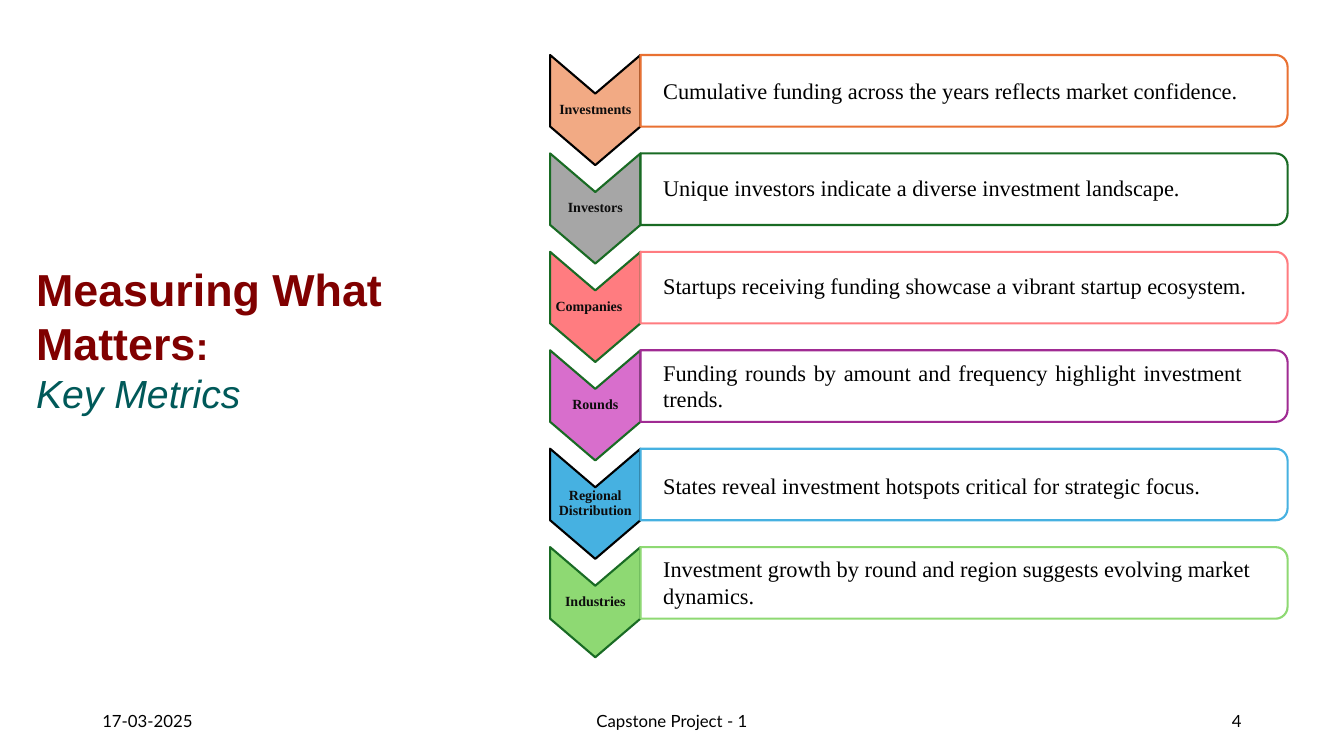
import pptx
import pptx.dml.color
import pptx.enum.shapes
import pptx.enum.text
import pptx.util
from lxml import etree

Pt = pptx.util.Pt
RGBColor = pptx.dml.color.RGBColor
Align = pptx.enum.text.PP_ALIGN
Anchor = pptx.enum.text.MSO_ANCHOR

BLACK = RGBColor(0x00, 0x00, 0x00)
WHITE = RGBColor(0xFF, 0xFF, 0xFF)
INK = RGBColor(0x0D, 0x0D, 0x0D)
MAROON = RGBColor(0x80, 0x00, 0x00)
TEAL = RGBColor(0x00, 0x59, 0x59)
ORANGE = RGBColor(0xE9, 0x71, 0x32)
PEACH = RGBColor(0xF2, 0xAA, 0x84)
GREY = RGBColor(0xA6, 0xA6, 0xA6)
GREEN = RGBColor(0x19, 0x6B, 0x24)
CORAL = RGBColor(0xFF, 0x7C, 0x80)
PURPLE = RGBColor(0xA0, 0x2B, 0x93)
ORCHID = RGBColor(0xD8, 0x6E, 0xCC)
BLUE = RGBColor(0x46, 0xB1, 0xE1)
LIME = RGBColor(0x8E, 0xD9, 0x73)

SERIF = "Times New Roman"
ROW_TOP, ROW_PITCH = 39.3, 70.3
CHEVRON_LEFT, CHEVRON_WIDTH = 392.9, 64.6
CARD_HEIGHT, CARD_WIDTH = 51.1, 462.2
NOTCH = 27.6
CAPTION_LEFT = 466.6

# label, chevron fill, chevron line, card line, caption, caption box (top, width, height), caption format
METRICS = [
    ("Investments", PEACH, BLACK, ORANGE,
     "Cumulative funding across the years reflects market confidence.", (51.8, 462.2, 26.6), {}),
    ("Investors", GREY, GREEN, GREEN,
     "Unique investors indicate a diverse investment landscape.", (121, 480.2, 28.8), {}),
    ("Companies", CORAL, GREEN, CORAL,
     "Startups receiving funding showcase a vibrant startup ecosystem.", (190.8, 453.6, 26.6), {}),
    ("Rounds", ORCHID, GREEN, PURPLE,
     "Funding rounds by amount and frequency highlight investment trends.",
     (252.7, 427.7, 46.1), {"align": Align.JUSTIFY}),
    ("Regional Distribution", BLUE, BLACK, BLUE,
     "States reveal investment hotspots critical for strategic focus.",
     (324, 419.8, 33.1), {"align": Align.JUSTIFY, "line_spacing": 1.5}),
    ("Industries", LIME, GREEN, LIME,
     "Investment growth by round and region suggests evolving market dynamics.",
     (393.1, 439.2, 46.1), {}),
]
LABEL_RIGHT_INSETS = {"Companies": 9.7}


def write(paragraph, text, size=16, font=SERIF, color=BLACK, bold=False, italic=False,
          align=Align.LEFT, line_spacing=None):
    paragraph.alignment = align
    if line_spacing:
        paragraph.line_spacing = line_spacing
    run = paragraph.add_run()
    run.text = text
    run.font.size = Pt(size)
    run.font.name = font
    run.font.color.rgb = color
    run.font.bold = bold
    run.font.italic = italic


def add_text_box(slide, left, top, width, height, anchor=Anchor.TOP):
    """Add a wrapping text box and return its text frame."""
    frame = slide.shapes.add_textbox(Pt(left), Pt(top), Pt(width), Pt(height)).text_frame
    frame.word_wrap = True
    frame.vertical_anchor = anchor
    return frame


def style_shape(shape, fill, line):
    shape.shadow.inherit = False
    shape.fill.solid()
    shape.fill.fore_color.rgb = fill
    shape.line.color.rgb = line
    shape.line.width = Pt(1.5)


def add_chevron(slide, top, label, fill, line):
    left, right = CHEVRON_LEFT, CHEVRON_LEFT + CHEVRON_WIDTH
    middle, shoulder = (left + right) / 2, top + CARD_HEIGHT
    outline = [(right, shoulder), (middle, shoulder + NOTCH), (left, shoulder),
               (left, top), (middle, top + NOTCH)]
    builder = slide.shapes.build_freeform(Pt(right), Pt(top))
    builder.add_line_segments([(Pt(x), Pt(y)) for x, y in outline], close=True)
    chevron = builder.convert_to_shape()
    style_shape(chevron, fill, line)
    frame = chevron.text_frame
    frame.word_wrap = True
    frame.vertical_anchor = Anchor.MIDDLE
    frame.margin_left = Pt(0.7)
    frame.margin_right = Pt(LABEL_RIGHT_INSETS.get(label, 0.7))
    frame.margin_top = frame.margin_bottom = Pt(26)
    write(frame.paragraphs[0], label, size=10, color=INK, bold=True,
          align=Align.CENTER, line_spacing=0.9)


def add_card(slide, top, line):
    """Add a card rounded on its right side: a top-rounded shape turned by 90 degrees."""
    center_x = CHEVRON_LEFT + CHEVRON_WIDTH + CARD_WIDTH / 2
    center_y = top + CARD_HEIGHT / 2
    card = slide.shapes.add_shape(
        pptx.enum.shapes.MSO_SHAPE.ROUND_2_SAME_RECTANGLE,
        Pt(center_x - CARD_HEIGHT / 2), Pt(center_y - CARD_WIDTH / 2),
        Pt(CARD_HEIGHT), Pt(CARD_WIDTH))
    card.rotation = 90
    style_shape(card, WHITE, line)
    namespace = "{http://schemas.openxmlformats.org/drawingml/2006/main}"
    fill_color = card.fill._xPr.find(f"{namespace}solidFill/{namespace}srgbClr")
    etree.SubElement(fill_color, f"{namespace}alpha", val="90000")


def add_title(slide):
    frame = add_text_box(slide, 18.7, 183.6, 374.4, 79.9)
    heading = frame.paragraphs[0]
    write(heading, "Measuring What Matters", size=32, font="Arial", color=MAROON, bold=True)
    write(heading, ":", size=28, font="Arial", color=MAROON, bold=True)
    write(frame.add_paragraph(), "Key Metrics", size=28, font="Arial", color=TEAL, italic=True)


def add_footer(slide):
    for text, left, width, align in [
            ("17-03-2025", 66, 216, Align.LEFT),
            ("Capstone Project - 1", 318, 324, Align.CENTER),
            ("4", 678, 216, Align.RIGHT)]:
        frame = add_text_box(slide, left, 500.5, width, 28.8, anchor=Anchor.MIDDLE)
        write(frame.paragraphs[0], text, size=12, font="Lato", align=align)


def main():
    presentation = pptx.Presentation()
    presentation.slide_width, presentation.slide_height = Pt(960), Pt(540)
    slide = presentation.slides.add_slide(presentation.slide_layouts[6])
    for row, (label, fill, outline, card_line, caption, box, caption_format) in enumerate(METRICS):
        top = ROW_TOP + row * ROW_PITCH
        add_chevron(slide, top, label, fill, outline)
        add_card(slide, top, card_line)
        caption_top, width, height = box
        frame = add_text_box(slide, CAPTION_LEFT, caption_top, width, height)
        write(frame.paragraphs[0], caption, **caption_format)
    add_title(slide)
    add_footer(slide)
    presentation.save("out.pptx")


if __name__ == "__main__":
    main()
